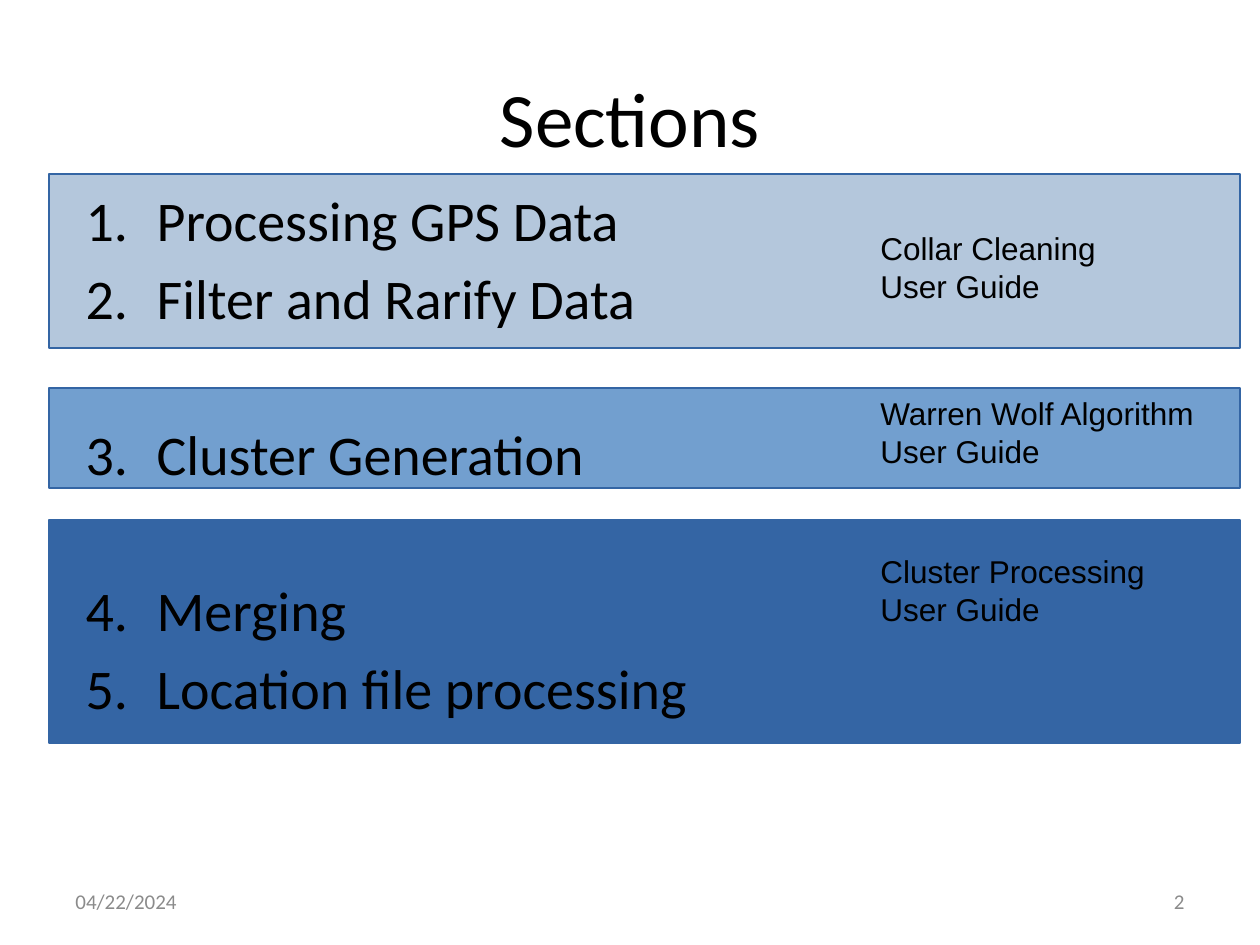
"""Build the Sections slide: three bands behind a numbered list, each with its user guide."""
from lxml.etree import SubElement
from pptx import Presentation
from pptx.dml.color import RGBColor
from pptx.enum.shapes import MSO_SHAPE
from pptx.enum.text import MSO_ANCHOR, MSO_AUTO_SIZE, PP_ALIGN
from pptx.oxml.ns import qn
from pptx.util import Emu, Pt

PX = 914400 / 126


def place(*lengths):
    return [Emu(round(length * PX)) for length in lengths]


def write(shape, lines, size, font="Calibri", color="000000", align=PP_ALIGN.LEFT,
          anchor=MSO_ANCHOR.TOP):
    frame = shape.text_frame
    frame.word_wrap = True
    frame.auto_size = MSO_AUTO_SIZE.NONE
    frame.vertical_anchor = anchor
    frame.text = "\n".join(lines)
    for paragraph in frame.paragraphs:
        paragraph.alignment = align
        paragraph.font.size = Pt(size)
        for run in paragraph.runs:
            run.font.size = Pt(size)
            run.font.name = font
            run.font.color.rgb = RGBColor.from_string(color)
    return frame.paragraphs


presentation = Presentation()
presentation.slide_width, presentation.slide_height = place(1260, 945)
slide = presentation.slides.add_slide(presentation.slide_layouts[1])
shapes = slide.shapes
title, body = slide.placeholders

bands = [(174, 174, "B4C7DC"), (388, 100, "729FCF"), (520, 223, "3465A4")]
for index, (top, height, fill) in enumerate(bands):
    band = shapes.add_shape(MSO_SHAPE.RECTANGLE, *place(49, top, 1191, height))
    band.shadow.inherit = False
    band.fill.solid()
    band.fill.fore_color.rgb = RGBColor.from_string(fill)
    band.line.color.rgb = RGBColor.from_string("3465A4")
    band.line.width = Pt(0)
    title.element.addprevious(band.element)

title.left, title.top, title.width, title.height = place(63, 38, 1134, 157)
write(title, ["Sections"], 44, align=PP_ALIGN.CENTER, anchor=MSO_ANCHOR.MIDDLE)

body.left, body.top, body.width, body.height = place(73, 179, 1134, 672)
sections = [("Processing GPS Data", 6), ("Filter and Rarify Data", 6),
            ("Cluster Generation", 51), ("Merging", 51), ("Location file processing", 6)]
paragraphs = write(body, [name for name, space in sections], 32)
indent = place(71)[0]
for paragraph, (name, space) in zip(paragraphs, sections):
    paragraph.space_before = Pt(space)
    properties = paragraph._p.get_or_add_pPr()
    properties.set("marL", str(indent))
    properties.set("indent", str(-indent))
    SubElement(properties, qn("a:buFont"), typeface="+mj-lt")
    SubElement(properties, qn("a:buAutoNum"), type="arabicPeriod")

footers = [(63, "04/22/2024", PP_ALIGN.LEFT), (903, "2", PP_ALIGN.RIGHT)]
for left, text, align in footers:
    footer = shapes.add_textbox(*place(left, 876, 294, 50))
    write(footer, [text], 12, color="8B8B8B", align=align, anchor=MSO_ANCHOR.MIDDLE)

guides = [("Collar Cleaning", 223, 273), ("Warren Wolf Algorithm", 388, 372),
          ("Cluster Processing", 546, 372)]
for name, top, width in guides:
    guide = shapes.add_textbox(*place(868, top, width, 83))
    write(guide, [name, "User Guide"], 18, font="Arial")

presentation.save("out.pptx")
